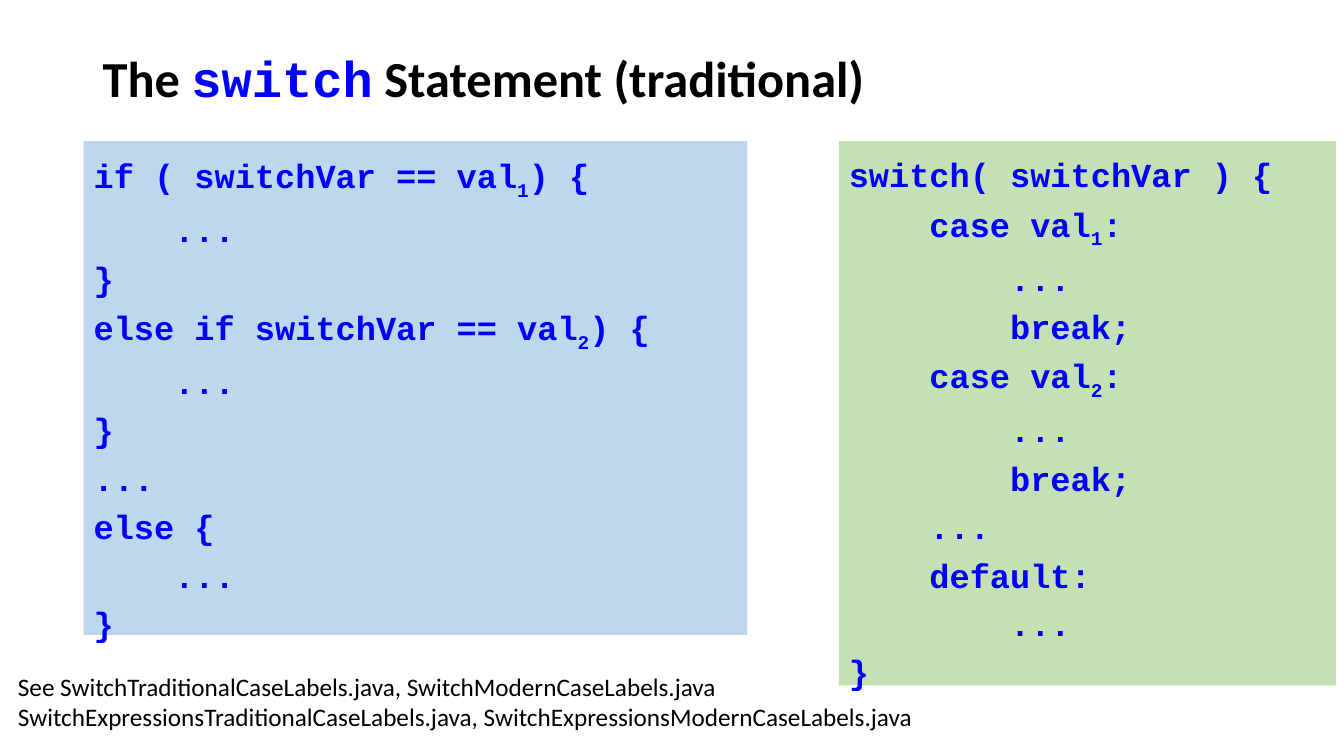
from pptx import Presentation
from pptx.dml.color import RGBColor
from pptx.enum.shapes import MSO_SHAPE
from pptx.enum.text import MSO_ANCHOR, MSO_AUTO_SIZE, PP_ALIGN
from pptx.util import Inches, Pt

COLORS = {"text": "000000", "code": "0000FF", "if": "BDD7EE", "switch": "C5E0B4"}
BODY, MONO = "Calibri", "Courier New"
CODE_INDENT = 0.8

IF_CODE = [
    (0, "if ( switchVar == val", "1", ") {"),
    (1, "..."),
    (0, "}"),
    (0, "else if switchVar == val", "2", ") {"),
    (1, "..."),
    (0, "}"),
    (0, "..."),
    (0, "else {"),
    (1, "..."),
    (0, "}"),
]
SWITCH_CODE = [(0, "switch( switchVar ) {")]
for number in "12":
    SWITCH_CODE += [(1, "case val", number, ":"), (2, "..."), (2, "break;")]
SWITCH_CODE += [(1, "..."), (1, "default:"), (2, "..."), (0, "}")]


def add_text(p, text, font=BODY, size=18, color="text", bold=False, sub=False):
    r = p.add_run()
    r.text = text
    r.font.name = font
    r.font.size = Pt(size)
    r.font.bold = bold
    r.font.color.rgb = RGBColor.from_string(COLORS[color])
    if sub:
        r.font._element.set("baseline", "-25000")


class Deck:
    def __init__(self):
        self.prs = Presentation()
        self.prs.slide_width, self.prs.slide_height = Inches(13.33), Inches(7.5)
        self.s = self.prs.slides.add_slide(self.prs.slide_layouts[6])

    def text_box(self, x, y, w, h):
        return self.s.shapes.add_textbox(*map(Inches, (x, y, w, h))).text_frame

    def title(self, x, y, w, h, runs):
        tf = self.text_box(x, y, w, h)
        tf.word_wrap = True
        tf.vertical_anchor = MSO_ANCHOR.MIDDLE
        p = tf.paragraphs[0]
        p.line_spacing = 0.9
        for text, style in runs:
            add_text(p, text, size=36, bold=True, **style)

    def code_box(self, x, y, w, h, fill, lines):
        sp = self.s.shapes.add_shape(MSO_SHAPE.RECTANGLE, *map(Inches, (x, y, w, h)))
        sp.shadow.inherit = False
        sp.fill.solid()
        sp.fill.fore_color.rgb = RGBColor.from_string(COLORS[fill])
        sp.line.fill.background()
        tf = sp.text_frame
        tf.word_wrap = True
        tf.vertical_anchor = MSO_ANCHOR.TOP
        for i, (level, *parts) in enumerate(lines):
            p = tf.add_paragraph() if i else tf.paragraphs[0]
            p.alignment = PP_ALIGN.LEFT
            p.line_spacing = 1.2
            p.space_before = Pt(0 if i else 10)
            p._p.get_or_add_pPr().set("marL", str(Inches(CODE_INDENT * level)))
            for j, part in enumerate(parts):
                add_text(p, part, font=MONO, size=24, color="code", bold=True, sub=j % 2 == 1)

    def note(self, x, y, w, h, lines):
        tf = self.text_box(x, y, w, h)
        tf.word_wrap = False
        tf.auto_size = MSO_AUTO_SIZE.SHAPE_TO_FIT_TEXT
        for i, line in enumerate(lines):
            add_text(tf.add_paragraph() if i else tf.paragraphs[0], line)


deck = Deck()
deck.title(0.92, 0.41, 11.5, 0.79, [
    ("The ", {}),
    ("switch", {"font": MONO, "color": "code"}),
    (" Statement (traditional)", {}),
])
deck.code_box(0.83, 1.4, 6.58, 4.9, "if", IF_CODE)
deck.code_box(8.32, 1.4, 4.93, 5.4, "switch", SWITCH_CODE)
deck.note(0.08, 6.61, 9.16, 0.71, [
    "See SwitchTraditionalCaseLabels.java, SwitchModernCaseLabels.java",
    "SwitchExpressionsTraditionalCaseLabels.java, SwitchExpressionsModernCaseLabels.java",
])
deck.prs.save("out.pptx")
